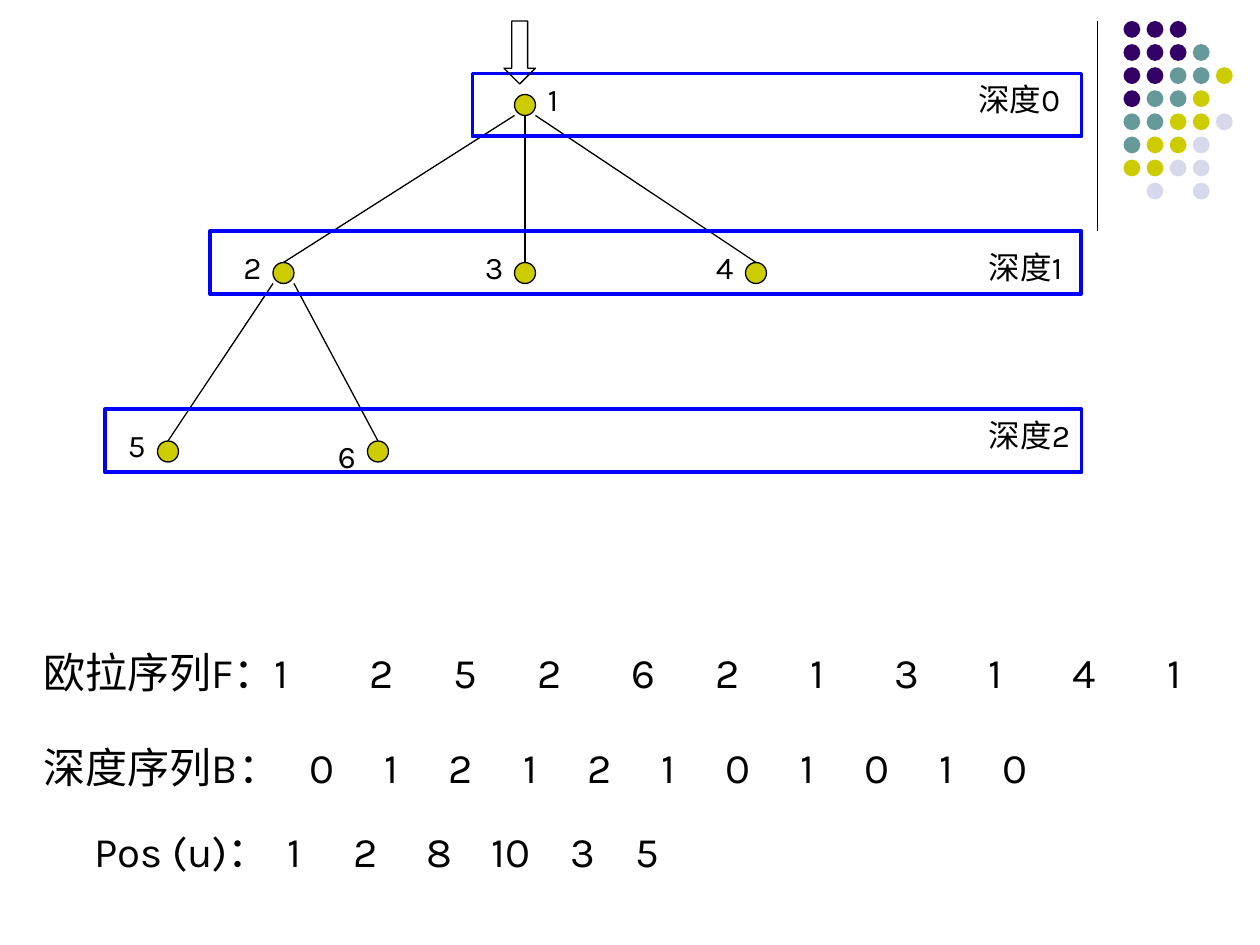
from lxml.etree import SubElement
from pptx import Presentation
from pptx.dml.color import RGBColor
from pptx.enum.shapes import MSO_CONNECTOR, MSO_SHAPE
from pptx.enum.text import MSO_AUTO_SIZE, PP_ALIGN
from pptx.oxml.ns import qn
from pptx.util import Inches, Pt

COLORS = {"ink": "000000", "band": "0000FF", "node": "CCCC00",
          "P": "330066", "T": "669999", "Y": "CCCC00", "L": "D8D8EC"}
FONT = "Karla"
DOT_ROWS = ["PPP", "PPPT", "PPTTY", "PTTY", "TTYYL", "TYYL", "YYLL", " L L"]
NODES = {"1": (49, 9), "2": (26, 25), "3": (49, 25),
         "4": (71, 25), "5": (15, 42), "6": (35, 42)}
NODE_LABELS = {"1": (51, 7), "2": (22, 23), "3": (45, 23),
               "4": (67, 23), "5": (11, 40), "6": (31, 41)}
EDGES = ["12", "13", "14", "25", "26"]
BANDS = [(45, 7), (20, 22), (10, 39)]
BAND_RIGHT = 103
DEPTH_LABELS = [("深度0", 92, 7), ("深度1", 93, 23), ("深度2", 93, 39)]
EULER = list(zip("12526213141", [25, 34, 42, 50, 59, 67, 76, 84, 93, 101, 110]))
DEPTHS = "01212101010"
DEPTH_TABS = [("ctr", 2.21 + 0.55 * i) for i in range(len(DEPTHS))]
POSITIONS = ["1", "2", "8", "10", "3", "5"]
POSITION_TABS = [("l", 0.4)] + [("ctr", x) for x in (1.99, 2.55, 3.14, 3.71, 4.28, 4.79)]

deck = Presentation()
deck.slide_width, deck.slide_height = Inches(10), Inches(7.5)
slide = deck.slides.add_slide(deck.slide_layouts[6])
UNIT = deck.slide_width / 120


def grid(*cells):
    return [round(cell * UNIT) for cell in cells]


def add_outline(kind, x, y, w, h, fill=None, line=None, width=0.74):
    outline = slide.shapes.add_shape(kind, *grid(x, y, w, h))
    outline.shadow.inherit = False
    for part, color in ((outline.fill, fill), (outline.line.fill, line)):
        if color:
            part.solid()
            part.fore_color.rgb = RGBColor.from_string(COLORS[color])
        else:
            part.background()
    if line:
        outline.line.width = Pt(width)


def add_line(x1, y1, x2, y2):
    line = slide.shapes.add_connector(MSO_CONNECTOR.STRAIGHT, *grid(x1, y1, x2, y2))
    line.line.color.rgb = RGBColor.from_string(COLORS["ink"])
    line.line.width = Pt(0.74)
    SubElement(line._element.spPr, qn("a:effectLst"))


def add_text(words, x, y, w, h, size, tabs=()):
    frame = slide.shapes.add_textbox(*grid(x, y, w, h)).text_frame
    frame.word_wrap = True
    frame.auto_size = MSO_AUTO_SIZE.SHAPE_TO_FIT_TEXT
    paragraph = frame.paragraphs[0]
    paragraph.add_run().text = words
    paragraph.alignment = PP_ALIGN.LEFT
    paragraph.space_before = Pt(size * 0.625)
    if tabs:
        stops = SubElement(paragraph._p.get_or_add_pPr(), qn("a:tabLst"))
        for align, place in tabs:
            SubElement(stops, qn("a:tab"), pos=str(Inches(place)), algn=align)
    paragraph.font.size = Pt(size)
    paragraph.font.name = FONT
    paragraph.font.color.rgb = RGBColor.from_string(COLORS["ink"])


add_line(104.5, 2, 104.5, 22)
for row, dots in enumerate(DOT_ROWS):
    for column, tone in enumerate(dots):
        if tone != " ":
            add_outline(MSO_SHAPE.OVAL, 107 + 2.2 * column, 2 + 2.2 * row, 1.6, 1.6, tone)

for parent, child in EDGES:
    (px, py), (cx, cy) = NODES[parent], NODES[child]
    side = (cx > px) - (cx < px)
    add_line(px + 1 + side, py + 2, cx + 1, cy)
for x, y in NODES.values():
    add_outline(MSO_SHAPE.OVAL, x, y, 2, 2, "node", "ink")
for name, (x, y) in NODE_LABELS.items():
    add_text(name, x, y, 15, 4.8, 18)

for x, y in BANDS:
    add_outline(MSO_SHAPE.RECTANGLE, x, y, BAND_RIGHT - x, 6, line="band", width=2.24)
for words, x, y in DEPTH_LABELS:
    add_text(words, x, y, 15, 4.8, 18)
add_outline(MSO_SHAPE.DOWN_ARROW, 48, 2, 3, 6, line="ink")

for visit, x in EULER:
    add_text(visit, x, 61, 4, 6, 24)
add_text("欧拉序列F：", 3, 61, 25, 6, 24)
add_text("\t".join(["深度序列B：", *DEPTHS]), 3, 70, 112, 6, 24, DEPTH_TABS)
add_text("\t".join(["", "Pos (u)：", *POSITIONS]), 3, 78, 112, 6, 24, POSITION_TABS)

deck.save("out.pptx")
